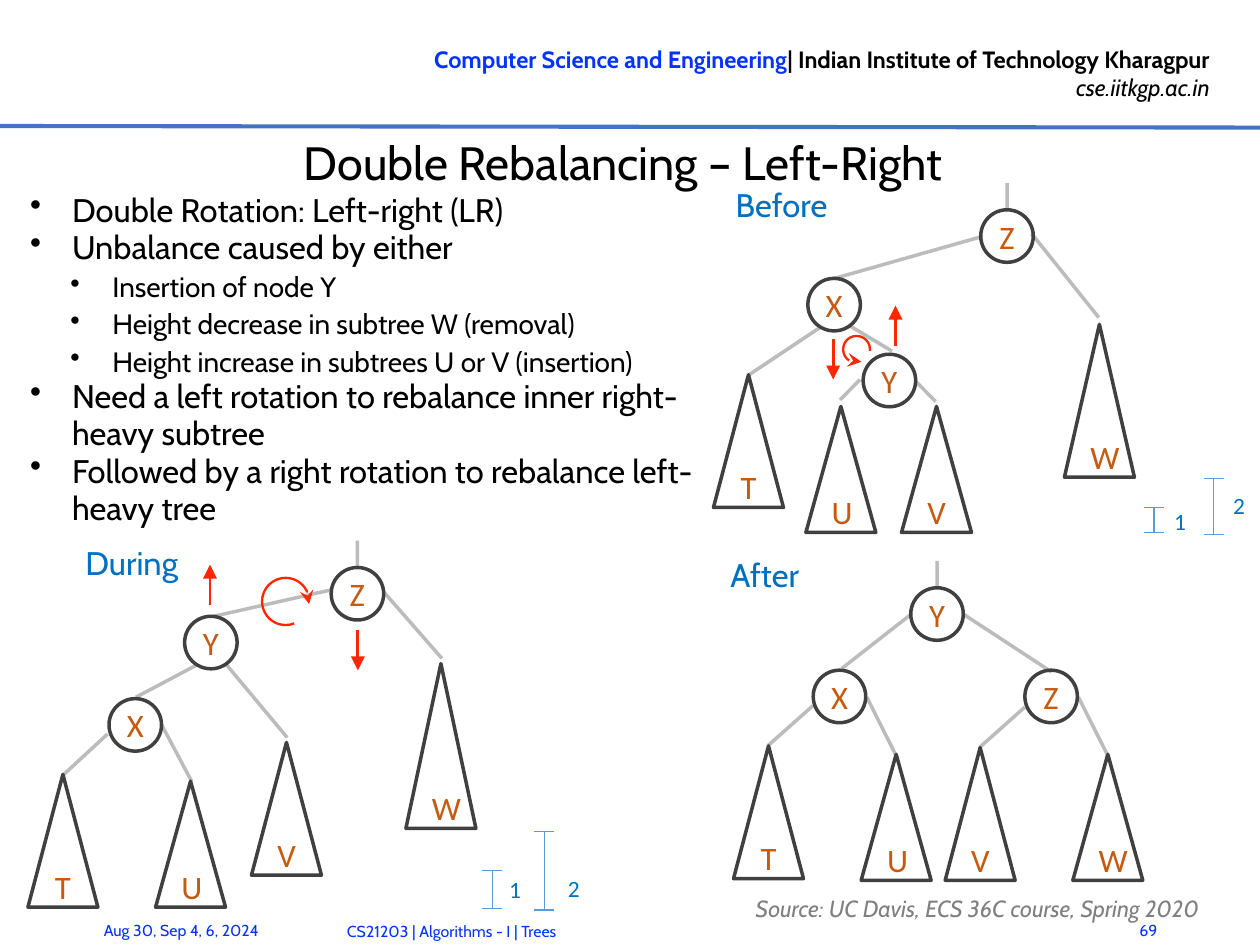
"""Build the slide on left-right double rebalancing of a binary search tree."""
from typing import NamedTuple

from lxml.etree import SubElement
from pptx import Presentation
from pptx.dml.color import RGBColor
from pptx.enum.shapes import MSO_CONNECTOR as Link, MSO_SHAPE as Preset
from pptx.enum.text import MSO_ANCHOR as Anchor, PP_ALIGN as Align
from pptx.oxml.ns import qn
from pptx.slide import Slide
from pptx.text.text import TextFrame
from pptx.util import Pt

COLORS = {
    "ink": "000000", "brand": "0432FF", "rule": "4472C4", "outline": "404040",
    "label": "C55A11", "heading": "0070C0", "gauge": "5B9BD5",
    "motion": "FF2600", "credit": "808080",
}
NODE_SIZE = 22.5
SUBTREE_WIDTH = 30
STEM_LENGTH = 11.5
SHIFT_LENGTH = 17.3
GAUGE_CAP = 4.3


class Style(NamedTuple):
    size: float
    color: str
    font: str = "Cabin"
    bold: bool = False
    italic: bool = False


class Node(NamedTuple):
    label: str
    x: float
    y: float


class Subtree(NamedTuple):
    label: str
    x: float
    apex: float
    height: float


class Branch(NamedTuple):
    x1: float
    y1: float
    x2: float
    y2: float


class Gauge(NamedTuple):
    label: str
    x: float
    top: float
    bottom: float
    label_x: float
    label_y: float


class Rotation(NamedTuple):
    x: float
    y: float
    size: float
    arrow_end: str
    rising: tuple[float, float]
    sinking: tuple[float, float]


class Stage(NamedTuple):
    heading: str
    heading_at: tuple[float, float]
    nodes: list[Node]
    subtrees: list[Subtree]
    branches: list[Branch]
    gauges: list[Gauge] = []
    rotations: list[Rotation] = []


LABEL = Style(14, "label", "Calibri")
GAUGE_LABEL = Style(10, "heading", "Calibri")
HEADING = Style(14, "heading")
FOOTER = Style(6.8, "brand")

POINTS = [
    (0, "Double Rotation: Left-right (LR)"),
    (0, "Unbalance caused by either"),
    (1, "Insertion of node Y"),
    (1, "Height decrease in subtree W (removal)"),
    (1, "Height increase in subtrees U or V (insertion)"),
    (0, "Need a left rotation to rebalance inner right-heavy subtree"),
    (0, "Followed by a right rotation to rebalance left-heavy tree"),
]

STAGES = [
    Stage(
        "Before", (308.2, 75.6),
        [Node("Z", 431.6, 101.2), Node("X", 357.5, 130.6), Node("Y", 381.2, 163.1)],
        [Subtree("T", 320.8, 160.6, 56.9), Subtree("U", 360.4, 174.2, 54),
         Subtree("V", 401.4, 174.2, 54), Subtree("W", 471.2, 139, 65.5)],
        [Branch(351.4, 140.4, 321.1, 160.6), Branch(442.1, 100.1, 470.9, 136.1),
         Branch(420.5, 101.5, 357.1, 119.5), Branch(364.3, 139.7, 382.3, 150.5),
         Branch(392.4, 163.4, 401, 172.1), Branch(368.6, 162.7, 360, 171.4)],
        [Gauge("2", 520.2, 205, 229, 531, 216.4),
         Gauge("1", 494.6, 217.4, 228.4, 505.8, 223.6)],
        [Rotation(361.4, 144, 11.5, "headEnd", (383.8, 131), (357.1, 162.7))],
    ),
    Stage(
        "During", (29.5, 229),
        [Node("Z", 153.2, 254.5), Node("Y", 90.4, 275.4), Node("X", 58, 310.7)],
        [Subtree("T", 27, 331.9, 56.9), Subtree("U", 81.7, 334.8, 54),
         Subtree("V", 122.8, 318.2, 56.9), Subtree("W", 189, 284.4, 70.6)],
        [Branch(84.2, 285.1, 58.3, 298.8), Branch(164.2, 253.4, 189.4, 282.2),
         Branch(142.6, 252.7, 91.4, 264.2), Branch(97.2, 285.1, 123.1, 316.1),
         Branch(69.1, 310.3, 82.1, 334.8), Branch(46.1, 314.6, 27.4, 331.9)],
        [Gauge("2", 233.3, 356.4, 390, 245.9, 380.5),
         Gauge("1", 211, 373, 389.5, 220.7, 381.2)],
        [Rotation(112.3, 247.7, 20.2, "tailEnd", (90, 242), (153.4, 287.3))],
    ),
    Stage(
        "After", (306, 234),
        [Node("Y", 401.6, 263.2), Node("X", 359.8, 298.5), Node("Z", 450.5, 298.5)],
        [Subtree("T", 329.4, 319.7, 56.9), Subtree("U", 384.1, 323.3, 54),
         Subtree("V", 420.1, 320.4, 56.9), Subtree("W", 474.8, 323.3, 54)],
        [Branch(390.2, 263.5, 360.7, 286.6), Branch(413.3, 263.5, 450.7, 288),
         Branch(371.5, 298.8, 383.8, 323.3), Branch(348.5, 302.4, 329, 319.7),
         Branch(462.2, 298.8, 474.5, 323.3), Branch(439.2, 303.1, 419.8, 320.4)],
    ),
]


def rgb(color: str) -> RGBColor:
    return RGBColor.from_string(COLORS[color])


def set_font(font, style: Style) -> None:
    font.name, font.size = style.font, Pt(style.size)
    font.bold, font.italic = style.bold, style.italic
    font.color.rgb = rgb(style.color)


def add_text(slide: Slide, x: float, y: float, width: float, height: float,
             text: str, style: Style, align: Align = Align.LEFT,
             anchor: Anchor = Anchor.MIDDLE, spacing: float | None = None) -> TextFrame:
    frame = slide.shapes.add_textbox(Pt(x), Pt(y), Pt(width), Pt(height)).text_frame
    frame.word_wrap, frame.vertical_anchor = True, anchor
    paragraph = frame.paragraphs[0]
    paragraph.text, paragraph.alignment = text, align
    if spacing:
        paragraph.line_spacing = Pt(spacing)
    set_font(paragraph.font, style)
    return frame


def add_label(slide: Slide, x: float, y: float, text: str, style: Style) -> None:
    frame = add_text(slide, x - 11, y - 12.25, 22, 24.5, text, style, Align.CENTER)
    frame.word_wrap = False


def add_line(slide: Slide, ends: Branch, color: str, width: float,
             opacity: int = 100, arrow: bool = False) -> None:
    line = slide.shapes.add_connector(Link.STRAIGHT, *map(Pt, ends))
    line.line.color.rgb, line.line.width = rgb(color), Pt(width)
    properties = line.element.spPr
    outline = properties.find(qn("a:ln"))
    if opacity < 100:
        SubElement(outline.find(".//" + qn("a:srgbClr")), qn("a:alpha"), val=str(opacity * 1000))
    if arrow:
        SubElement(outline, qn("a:tailEnd"), type="triangle")
    SubElement(properties, qn("a:effectLst"))


def add_outline(slide: Slide, preset: Preset, x: float, y: float, width: float,
                height: float, color: str = "outline", weight: float = 1.5):
    shape = slide.shapes.add_shape(preset, Pt(x), Pt(y), Pt(width), Pt(height))
    shape.shadow.inherit = False
    shape.fill.background()
    shape.line.color.rgb, shape.line.width = rgb(color), Pt(weight)
    return shape


def draw_gauge(slide: Slide, gauge: Gauge) -> None:
    add_line(slide, Branch(gauge.x, gauge.top, gauge.x, gauge.bottom), "gauge", 0.5)
    for y in (gauge.top, gauge.bottom):
        add_line(slide, Branch(gauge.x - GAUGE_CAP, y, gauge.x + GAUGE_CAP, y), "gauge", 0.5)
    add_label(slide, gauge.label_x, gauge.label_y, gauge.label, GAUGE_LABEL)


def draw_rotation(slide: Slide, turn: Rotation) -> None:
    arc = add_outline(slide, Preset.ARC, turn.x, turn.y, turn.size, turn.size, "motion", 1)
    arc.adjustments[0], arc.adjustments[1] = 41.215, 3.879
    SubElement(arc.element.spPr.find(qn("a:ln")), qn(f"a:{turn.arrow_end}"), type="stealth")
    for (x, tip), rise in ((turn.rising, SHIFT_LENGTH), (turn.sinking, -SHIFT_LENGTH)):
        add_line(slide, Branch(x, tip + rise, x, tip), "motion", 1.25, arrow=True)


def draw_stage(slide: Slide, stage: Stage) -> None:
    add_text(slide, *stage.heading_at, 64.8, 26, stage.heading, HEADING,
             anchor=Anchor.TOP, spacing=17)
    root, radius = stage.nodes[0], NODE_SIZE / 2
    root_top = root.y - radius
    stem = Branch(root.x, root_top - STEM_LENGTH, root.x, root_top)
    for branch in [stem, *stage.branches]:
        add_line(slide, branch, "outline", 1.5, opacity=35)
    for node in stage.nodes:
        add_outline(slide, Preset.OVAL, node.x - radius, node.y - radius, NODE_SIZE, NODE_SIZE)
        add_label(slide, node.x, node.y, node.label, LABEL)
    for tree in stage.subtrees:
        add_outline(slide, Preset.ISOSCELES_TRIANGLE, tree.x - SUBTREE_WIDTH / 2,
                    tree.apex, SUBTREE_WIDTH, tree.height)
        add_label(slide, tree.x, tree.apex + tree.height - 9, tree.label, LABEL)
    for gauge in stage.gauges:
        draw_gauge(slide, gauge)
    for turn in stage.rotations:
        draw_rotation(slide, turn)


def draw_header(slide: Slide) -> None:
    frame = add_text(slide, 137.5, 15.8, 388.1, 31.7, "Computer Science and Engineering",
                     Style(10.1, "ink", bold=True), Align.RIGHT, Anchor.TOP)
    department = frame.paragraphs[0]
    department.runs[0].font.color.rgb = rgb("brand")
    department.add_run().text = "| Indian Institute of Technology Kharagpur"
    site = frame.add_paragraph()
    site.text, site.alignment = "cse.iitkgp.ac.in", Align.RIGHT
    set_font(site.font, Style(10.1, "ink", italic=True))
    add_line(slide, Branch(0, 54, 540, 54.7), "rule", 1.75)


def draw_points(slide: Slide) -> None:
    frame = slide.shapes.add_textbox(Pt(5.8), Pt(78.5), Pt(300.2), Pt(150.5)).text_frame
    frame.word_wrap = True
    for index, (level, text) in enumerate(POINTS):
        point = frame.add_paragraph() if index else frame.paragraphs[0]
        point.text, point.level, point.line_spacing = text, level, Pt(16)
        properties = point._p.get_or_add_pPr()
        properties.set("marL", str(Pt(35.3 if level else 18)))
        properties.set("indent", str(Pt(-18)))
        SubElement(properties, qn("a:buChar"), char="•")
        set_font(point.font, Style(12 if level else 14, "ink"))


def main() -> None:
    deck = Presentation()
    deck.slide_width, deck.slide_height = Pt(540), Pt(405)
    slide = deck.slides.add_slide(deck.slide_layouts[6])
    draw_header(slide)
    title = add_text(slide, 17.3, 56.9, 499.7, 24.5, "Double Rebalancing – Left-Right",
                     Style(20, "ink"), Align.CENTER)
    title.margin_left = title.margin_right = title.margin_bottom = 0
    title.margin_top = Pt(0.7)
    draw_points(slide)
    for stage in STAGES:
        draw_stage(slide, stage)
    add_text(slide, 37.4, 390.3, 94.3, 16.6, "Aug 30, Sep 4, 6, 2024", FOOTER)
    add_text(slide, 87.8, 390.3, 211.7, 17.3, "CS21203 | Algorithms - I | Trees", FOOTER, Align.CENTER)
    add_text(slide, 476.6, 388.1, 26.6, 21.6, "69", FOOTER, Align.RIGHT)
    add_text(slide, 316.8, 380.2, 217.4, 12.2, "Source: UC Davis, ECS 36C course, Spring 2020",
             Style(10, "credit", italic=True), spacing=18)
    deck.save("out.pptx")


if __name__ == "__main__":
    main()
